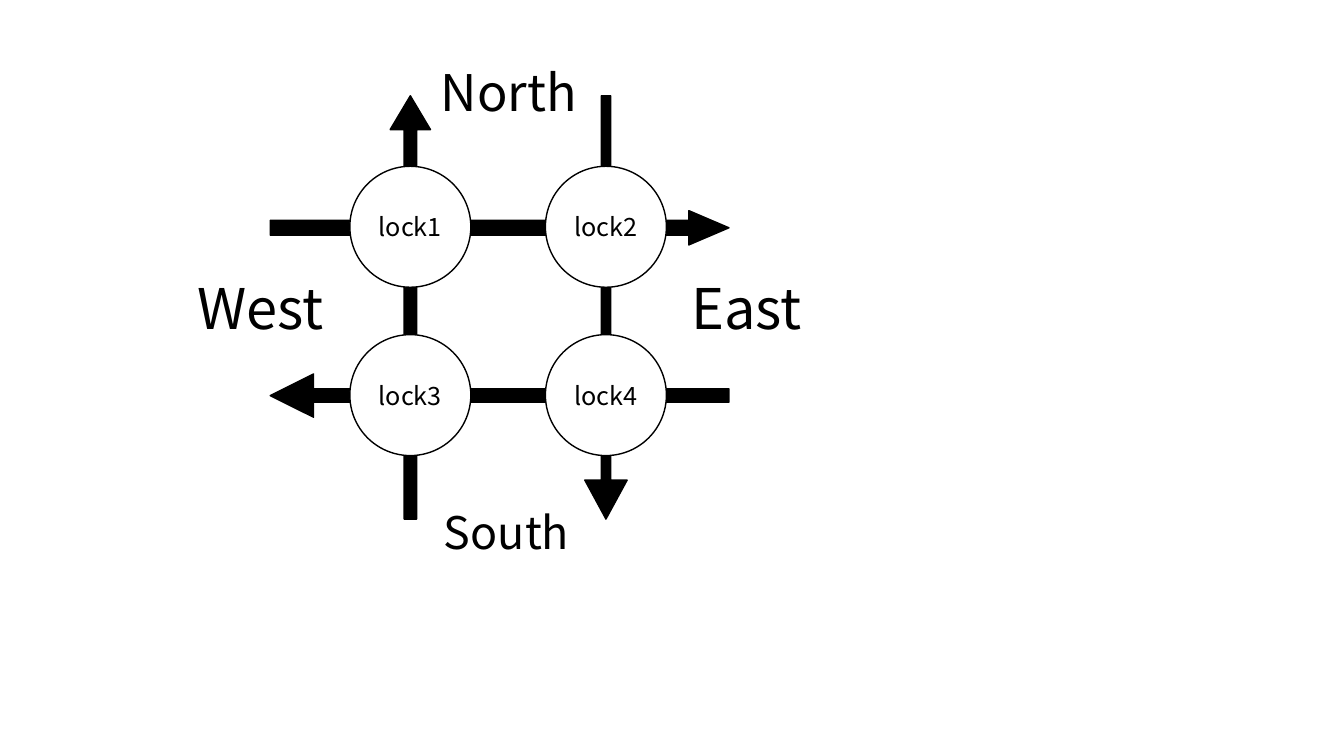
from pptx import Presentation
from pptx.dml.color import RGBColor
from pptx.enum.shapes import MSO_SHAPE
from pptx.enum.text import MSO_ANCHOR, PP_ALIGN
from pptx.util import Inches, Pt

BLACK = RGBColor(0, 0, 0)
WHITE = RGBColor(255, 255, 255)
FONT = "Noto Sans CJK JP"
RIGHT, LEFT = MSO_SHAPE.RIGHT_ARROW, MSO_SHAPE.LEFT_ARROW
UP, DOWN = MSO_SHAPE.UP_ARROW, MSO_SHAPE.DOWN_ARROW
CIRCLE = MSO_SHAPE.OVAL
MIDDLE = MSO_ANCHOR.MIDDLE
ALIGN_LEFT, ALIGN_CENTER = PP_ALIGN.LEFT, PP_ALIGN.CENTER

deck = Presentation()
deck.slide_width, deck.slide_height = Inches(13.33), Inches(7.5)
page = deck.slides.add_slide(deck.slide_layouts[6])


def add_figure(kind, bounds, color):
    figure = page.shapes.add_shape(kind, *map(Inches, bounds))
    figure.shadow.inherit = False
    figure.fill.solid()
    figure.fill.fore_color.rgb = color
    figure.line.color.rgb = BLACK
    figure.line.width = Pt(1)
    return figure


def write(box, text, size, alignment):
    paragraph = box.text_frame.paragraphs[0]
    paragraph.alignment = alignment
    span = paragraph.add_run()
    span.text = text
    span.font.color.rgb = BLACK
    for name, value in {"name": FONT, "size": Pt(size)}.items():
        setattr(span.font, name, value)


roads = [
    (RIGHT, (2.68, 2.09, 4.55, 0.34), (0.43, 1.17)),
    (LEFT, (2.68, 3.71, 4.55, 0.43), (0.31, 1)),
    (UP, (3.87, 0.95, 0.4, 4.2), (0.31, 0.84)),
    (DOWN, (5.8, 0.95, 0.42, 4.2), (0.22, 0.92)),
]
for kind, bounds, proportions in roads:
    road = add_figure(kind, bounds, BLACK)
    for index, proportion in enumerate(proportions):
        road.adjustments[index] = proportion

for index in range(4):
    row, column = divmod(index, 2)
    left, top = 3.47 + 1.94 * column, 1.65 + 1.67 * row
    lock = add_figure(CIRCLE, (left, top, 1.2, 1.2), WHITE)
    frame_format = {"vertical_anchor": MIDDLE, "word_wrap": True,
                    "margin_left": 0, "margin_right": 0}
    for name, value in frame_format.items():
        setattr(lock.text_frame, name, value)
    write(lock, f"lock{index + 1}", 18, ALIGN_CENTER)

directions = [
    ("East", (6.76, 2.66, 1.39, 0.77), 40, ALIGN_LEFT),
    ("North", (4.25, 0.56, 1.59, 0.71), 36, ALIGN_CENTER),
    ("West", (1.86, 2.66, 1.6, 0.77), 40, ALIGN_LEFT),
    ("South", (4.25, 4.96, 1.55, 0.64), 32, ALIGN_CENTER),
]
for text, bounds, size, alignment in directions:
    label = page.shapes.add_textbox(*map(Inches, bounds))
    label.text_frame.word_wrap = True
    write(label, text, size, alignment)

deck.save("out.pptx")
